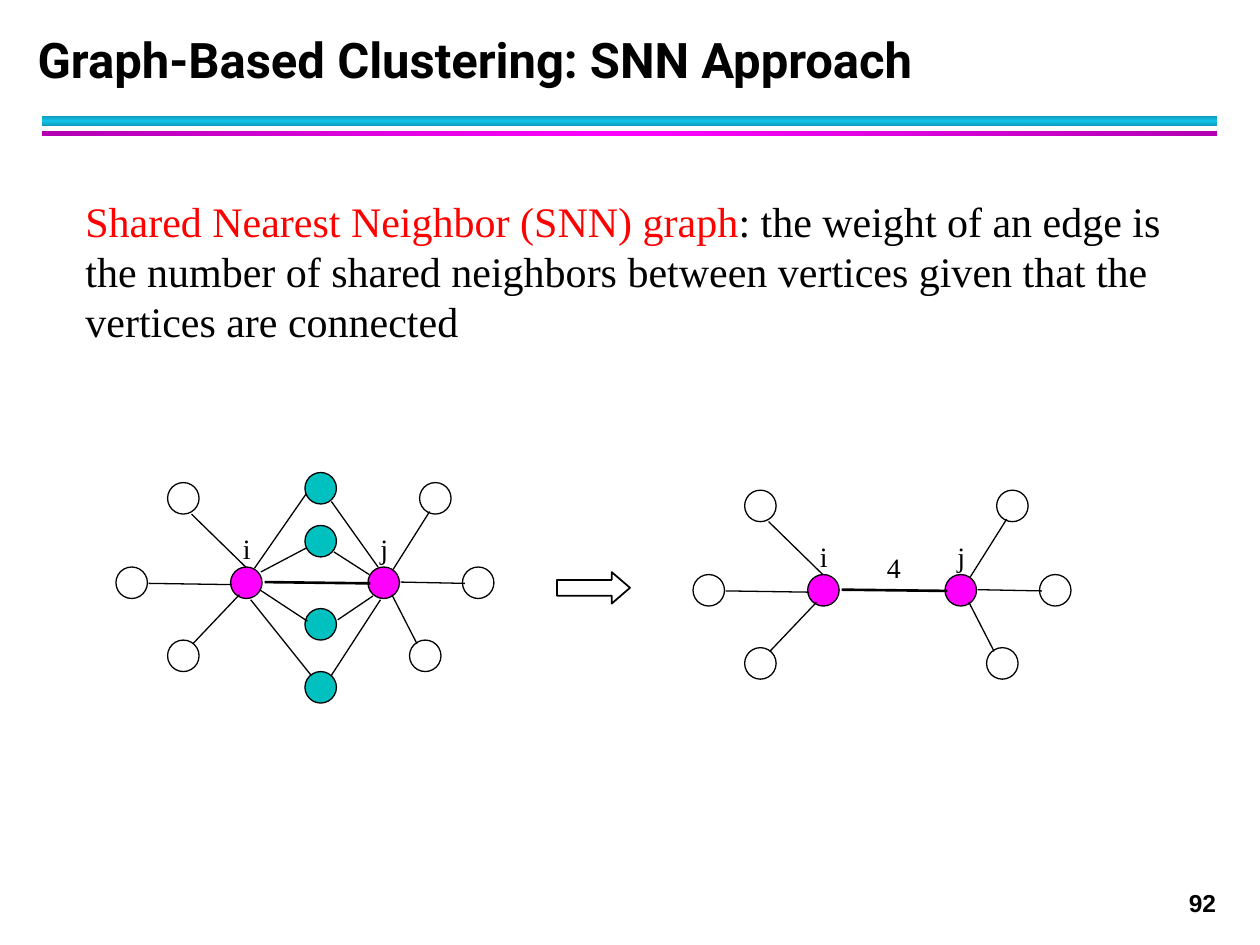
import copy
from typing import NamedTuple

import lxml.etree
import pptx
import pptx.dml.color
import pptx.enum.shapes
import pptx.enum.text
import pptx.oxml.ns
import pptx.util

Inches = pptx.util.Inches
Pt = pptx.util.Pt
RGBColor = pptx.dml.color.RGBColor
Shape = pptx.enum.shapes.MSO_SHAPE
Align = pptx.enum.text.PP_ALIGN
Anchor = pptx.enum.text.MSO_ANCHOR
qn = pptx.oxml.ns.qn

BLACK = RGBColor(0x00, 0x00, 0x00)
RED = RGBColor(0xFF, 0x00, 0x00)
MAGENTA = RGBColor(0xFF, 0x00, 0xFF)
PURPLE = RGBColor(0xB2, 0x00, 0xB2)
TEAL = RGBColor(0x00, 0xC0, 0xC0)
CYAN = RGBColor(0x12, 0xC2, 0xE9)
DEEP_CYAN = RGBColor(0x0E, 0x9B, 0xBA)

NODE_SIZE = 0.25
SERIF = "Times New Roman"


class Node(NamedTuple):
    left: float
    top: float
    fill: RGBColor | None = None


class Edge(NamedTuple):
    x1: float
    y1: float
    x2: float
    y2: float
    weight: float = 0.75


class Label(NamedTuple):
    text: str
    left: float
    top: float
    width: float = 0.33


class Bar(NamedTuple):
    top: float
    height: float
    edge: RGBColor
    middle: RGBColor
    angle: int


class Run(NamedTuple):
    text: str
    color: RGBColor = BLACK


BARS = [
    Bar(0.92, 0.08, DEEP_CYAN, CYAN, 90),
    Bar(1.04, 0.04, PURPLE, MAGENTA, 0),
]
GRAPH_NODES = [
    Node(1.83, 4.5, MAGENTA), Node(2.92, 4.5, MAGENTA),
    Node(1.33, 5.08), Node(0.92, 4.5), Node(1.33, 3.83),
    Node(3.33, 3.83), Node(3.25, 5.08), Node(3.67, 4.5),
]
SHARED_NODES = [Node(2.42, top, TEAL) for top in (3.75, 4.17, 4.83, 5.33)]
GRAPH_LABELS = [Label("i", 1.83, 4.17), Label("j", 2.92, 4.17)]
WEIGHT_LABEL = Label("4", 2.36, 4.26, 0.37)
GRAPH_EDGES = [
    Edge(1.53, 5.11, 1.9, 4.72), Edge(1.18, 4.63, 1.84, 4.64),
    Edge(1.52, 4.08, 1.95, 4.5), Edge(2.1, 4.62, 2.94, 4.63, 1.5),
    Edge(3.18, 4.62, 3.69, 4.63), Edge(3.31, 5.11, 3.11, 4.72),
    Edge(3.12, 4.52, 3.41, 4.06),
]
SHARED_EDGES = [
    Edge(2.07, 4.54, 2.43, 4.35), Edge(2.06, 4.68, 2.44, 4.93),
    Edge(2.47, 5.36, 1.99, 4.76), Edge(2.02, 4.51, 2.43, 3.92),
    Edge(2.68, 4.92, 2.96, 4.73), Edge(2.63, 5.36, 3.02, 4.76),
    Edge(2.93, 4.56, 2.65, 4.38), Edge(3, 4.5, 2.63, 3.98),
]


def apply_format(target, values: dict) -> None:
    for name, value in values.items():
        setattr(target, name, value)


def add_text(slide, box: tuple, runs: list[Run], size: float, face: str,
             bold: bool = False, spacing: float | None = None,
             align=Align.LEFT, anchor=Anchor.TOP) -> None:
    frame = slide.shapes.add_textbox(*map(Inches, box)).text_frame
    apply_format(frame, {"word_wrap": True, "vertical_anchor": anchor})
    paragraph = frame.paragraphs[0]
    apply_format(paragraph, {"alignment": align, "line_spacing": Pt(spacing or size * 1.2)})
    for piece in runs:
        run = paragraph.add_run()
        run.text = piece.text
        apply_format(run.font, {"name": face, "size": Pt(size), "bold": bold})
        run.font.color.rgb = piece.color


def add_outlined(slide, preset, box: tuple, fill: RGBColor | None, weight: float):
    shape = slide.shapes.add_shape(preset, *map(Inches, box))
    shape.shadow.inherit = False
    if fill is None:
        shape.fill.background()
    else:
        shape.fill.solid()
        shape.fill.fore_color.rgb = fill
    shape.line.color.rgb = BLACK
    shape.line.width = Pt(weight)
    return shape


def add_bar(slide, bar: Bar) -> None:
    shape = slide.shapes.add_shape(
        Shape.RECTANGLE, *map(Inches, (0.33, bar.top, 9.33, bar.height)))
    shape.shadow.inherit = False
    shape.line.fill.background()
    shape.fill.gradient()
    shape.fill.gradient_angle = bar.angle
    stop_list = shape.element.spPr.find(".//" + qn("a:gsLst"))
    stop_list.append(copy.deepcopy(stop_list[0]))
    colors = (bar.edge, bar.middle, bar.edge)
    for stop, position, color in zip(shape.fill.gradient_stops, (0, 0.5, 1), colors):
        stop.position = position
        stop.color.rgb = color


def add_edge(slide, edge: Edge, dx: float, dy: float) -> None:
    ends = (edge.x1 + dx, edge.y1 + dy, edge.x2 + dx, edge.y2 + dy)
    line = slide.shapes.add_connector(
        pptx.enum.shapes.MSO_CONNECTOR.STRAIGHT, *map(Inches, ends))
    line.line.color.rgb = BLACK
    line.line.width = Pt(edge.weight)
    lxml.etree.SubElement(line.element.spPr, qn("a:effectLst"))


def add_graph(slide, nodes: list[Node], labels: list[Label], edges: list[Edge],
              dx: float = 0, dy: float = 0) -> None:
    for node in nodes:
        box = (node.left + dx, node.top + dy, NODE_SIZE, NODE_SIZE)
        add_outlined(slide, Shape.OVAL, box, node.fill, 0.75)
    for label in labels:
        box = (label.left + dx, label.top + dy, label.width, 0.37)
        add_text(slide, box, [Run(label.text)], 16, SERIF)
    for edge in edges:
        add_edge(slide, edge, dx, dy)


def main() -> None:
    deck = pptx.Presentation()
    apply_format(deck, {"slide_width": Inches(10), "slide_height": Inches(7.5)})
    slide = deck.slides.add_slide(deck.slide_layouts[6])

    for bar in BARS:
        add_bar(slide, bar)
    add_text(slide, (0.42, 7, 9.33, 0.34), [Run("92")], 14, "Arial",
             bold=True, align=Align.RIGHT)

    add_graph(slide, GRAPH_NODES + SHARED_NODES, GRAPH_LABELS,
              GRAPH_EDGES + SHARED_EDGES)
    add_graph(slide, GRAPH_NODES, GRAPH_LABELS + [WEIGHT_LABEL],
              GRAPH_EDGES, dx=4.58, dy=0.06)

    definition = [
        Run("Shared Nearest Neighbor (SNN) graph", RED),
        Run(": the weight of an edge is the number of shared neighbors between "
            "vertices given that the vertices are connected"),
    ]
    add_text(slide, (0.58, 1.5, 8.83, 1.3), definition, 24, SERIF)
    add_text(slide, (0.2, 0.17, 9.45, 0.58),
             [Run("Graph-Based Clustering: SNN Approach")], 28, "Roboto",
             bold=True, spacing=36, anchor=Anchor.BOTTOM)

    arrow = add_outlined(slide, Shape.RIGHT_ARROW, (4.42, 4.54, 0.58, 0.25), None, 1)
    arrow.adjustments[1] = 0.58

    deck.save("out.pptx")


if __name__ == "__main__":
    main()
